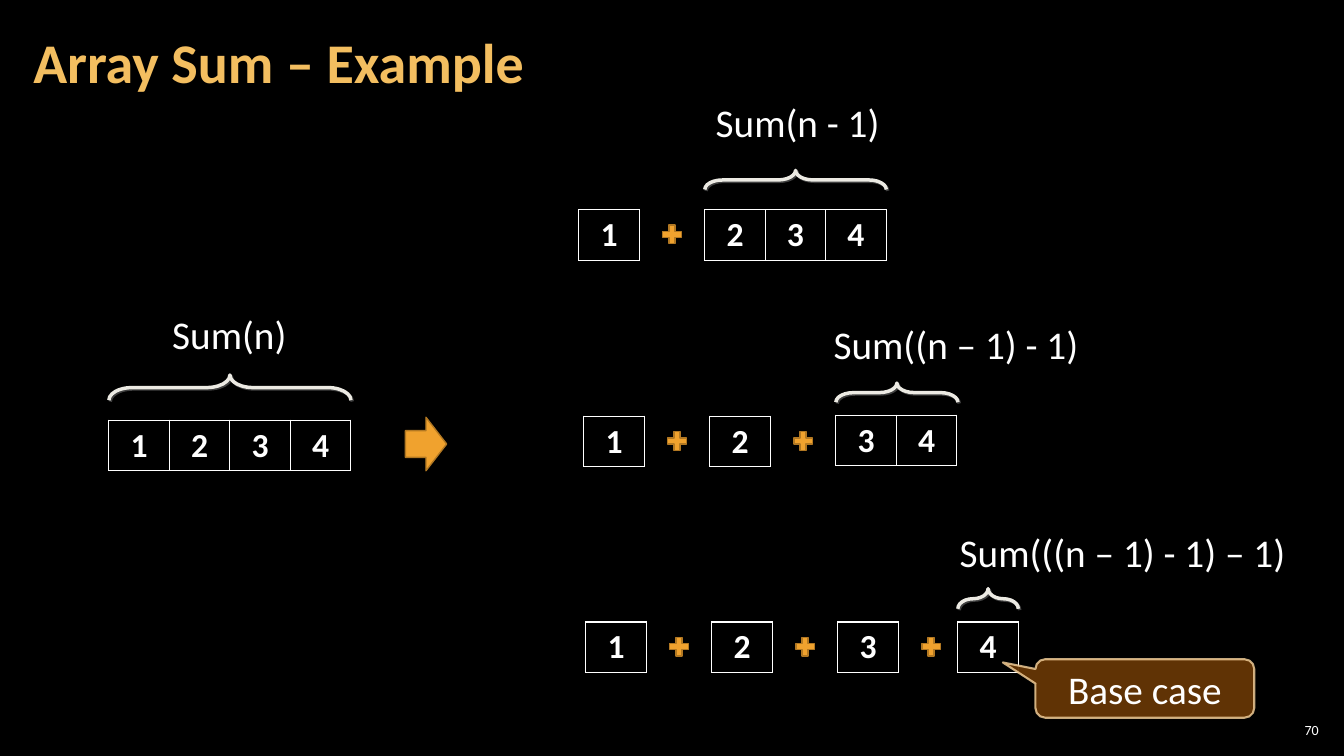
from lxml.etree import SubElement as Sub
from pptx import Presentation
from pptx.dml.color import RGBColor as Rgb
from pptx.enum.shapes import MSO_SHAPE as Kind
from pptx.enum.text import MSO_ANCHOR as Anchor, MSO_AUTO_SIZE as Auto, PP_ALIGN as Align
from pptx.oxml import parse_xml
from pptx.oxml.ns import nsdecls, qn
from pptx.util import Inches, Pt

HUES = {
    "back": "000000", "text": "FFFFFF", "title": "F3BE60",
    "gold": "F0A22E", "edge": "B27822", "brace": "ECEAE3",
    "shade": "404040", "call": "663606", "rim": "F8D49E",
}
CELL_W, CELL_H = 0.6, 0.5
STEP = 1.25
PLUS = 0.25


def hue(name):
    return Rgb.from_string(HUES[name])


def box(*sides):
    return [Inches(side) for side in sides]


def style(par, size, color="text", bold=False, align=None):
    par.alignment = align
    font = par.font
    font.name, font.size, font.bold = "Calibri", Pt(size), bold
    font.color.rgb = hue(color)


def fade(fill, share):
    color = fill._xPr.find(".//" + qn("a:srgbClr"))
    Sub(color, qn("a:alpha"), val=str(share * 1000))


def add_mark(slide, kind, place, fill="gold", line="edge", width=1):
    mark = slide.shapes.add_shape(kind, *box(*place))
    mark.shadow.inherit = False
    mark.fill.solid()
    mark.fill.fore_color.rgb = hue(fill)
    mark.line.color.rgb = hue(line)
    mark.line.width = Pt(width)
    return mark


def add_title(slide, place, text):
    title = slide.shapes.title
    title.left, title.top, title.width, title.height = box(*place)
    frame = title.text_frame
    frame.text = text
    frame.word_wrap = True
    frame.vertical_anchor = Anchor.MIDDLE
    frame.margin_left = frame.margin_right = Inches(0.12)
    frame.margin_top = frame.margin_bottom = Inches(0.04)
    par = frame.paragraphs[0]
    par.line_spacing = 0.9
    style(par, 40, "title", True, Align.LEFT)


def add_page(slide, place, text):
    frame = slide.shapes.add_textbox(*box(*place)).text_frame
    frame.text = text
    frame.word_wrap = True
    frame.vertical_anchor = Anchor.MIDDLE
    frame.margin_left = frame.margin_right = Inches(0.04)
    frame.margin_top = frame.margin_bottom = Inches(0.04)
    style(frame.paragraphs[0], 10, align=Align.RIGHT)


def add_label(slide, place, text):
    frame = slide.shapes.add_textbox(*box(*place)).text_frame
    frame.text = text
    frame.word_wrap = False
    frame.auto_size = Auto.SHAPE_TO_FIT_TEXT
    style(frame.paragraphs[0], 28)


def add_cells(slide, left, top, items):
    place = box(left, top, CELL_W * len(items), CELL_H)
    table = slide.shapes.add_table(1, len(items), *place).table
    table.first_row = table.horz_banding = False
    for cell, item in zip(table.iter_cells(), items):
        cell.text = item
        cell.fill.background()
        style(cell.text_frame.paragraphs[0], 24, bold=True, align=Align.CENTER)
        props = cell._tc.get_or_add_tcPr()
        for spot, side in enumerate("LRTB"):
            props.insert(spot, parse_xml(
                f'<a:ln{side} {nsdecls("a")} w="12700"><a:solidFill>'
                f'<a:srgbClr val="{HUES["text"]}"/></a:solidFill></a:ln{side}>'))


def add_brace(slide, left, top, width, depth):
    shift = (width - depth) / 2
    place = box(left + shift, top - shift, depth, width)
    brace = slide.shapes.add_shape(Kind.LEFT_BRACE, *place)
    brace.rotation = 90
    brace.adjustments[0] = 0.919
    brace.fill.background()
    brace.line.color.rgb = hue("brace")
    brace.line.width = Pt(2.5)
    brace.shadow.inherit = False
    glow = brace._element.spPr.find(qn("a:effectLst"))
    drop = Sub(glow, qn("a:outerShdw"), dist=str(Pt(1.4)), dir="2700000",
               algn="ctr", rotWithShape="0")
    Sub(drop, qn("a:srgbClr"), val=HUES["shade"])


def add_group(slide, left, top, items, width, depth, gap, label, place):
    add_cells(slide, left, top, items)
    add_brace(slide, left, top - gap - depth, width, depth)
    add_label(slide, place, label)


def add_chain(slide, left, top, heads):
    for spot, head in enumerate(heads):
        start = left + spot * STEP
        add_cells(slide, start, top, head)
        add_mark(slide, Kind.MATH_PLUS, (start + 0.8, top + 0.12, PLUS, PLUS))


def add_call(slide, place, text):
    call = add_mark(slide, Kind.ROUNDED_RECTANGULAR_CALLOUT, place, "call", "rim", 1.5)
    for spot, value in enumerate((-0.649, -0.445, 0.167)):
        call.adjustments[spot] = value
    fade(call.fill, 95)
    fade(call.line.fill, 80)
    frame = call.text_frame
    frame.text = text
    frame.vertical_anchor = Anchor.MIDDLE
    style(frame.paragraphs[0], 28, align=Align.CENTER)


def main():
    deck = Presentation()
    deck.slide_width, deck.slide_height = box(13.33, 7.5)
    slide = deck.slides.add_slide(deck.slide_layouts[5])
    slide.background.fill.solid()
    slide.background.fill.fore_color.rgb = hue("back")

    add_title(slide, (0.21, 0.04, 10.47, 1.21), "Array Sum – Example")
    add_page(slide, (12.65, 7.14, 0.47, 0.21), "70")
    for left, top, heads in ((5.74, 2.08, "1"), (5.79, 4.13, "12"), (5.81, 6.17, "123")):
        add_chain(slide, left, top, heads)
    groups = (
        (1.08, 4.17, "1234", 2.4, 0.25, 0.2, "Sum(n)", (1.61, 3.03, 1.35, 0.57)),
        (6.99, 2.08, "234", 1.8, 0.19, 0.2, "Sum(n - 1)", (7, 0.93, 1.85, 0.57)),
        (8.29, 4.12, "34", 1.21, 0.19, 0.13, "Sum((n – 1) - 1)", (8.17, 3.13, 2.66, 0.57)),
        (9.5, 6.17, "4", 0.6, 0.2, 0.13, "Sum(((n – 1) - 1) – 1)", (9.42, 5.19, 3.59, 0.57)),
    )
    for group in groups:
        add_group(slide, *group)
    add_mark(slide, Kind.RIGHT_ARROW, (4.02, 4.14, 0.41, 0.53))
    add_call(slide, (10.27, 6.54, 2.17, 0.58), "Base case")
    deck.save("out.pptx")


if __name__ == "__main__":
    main()
